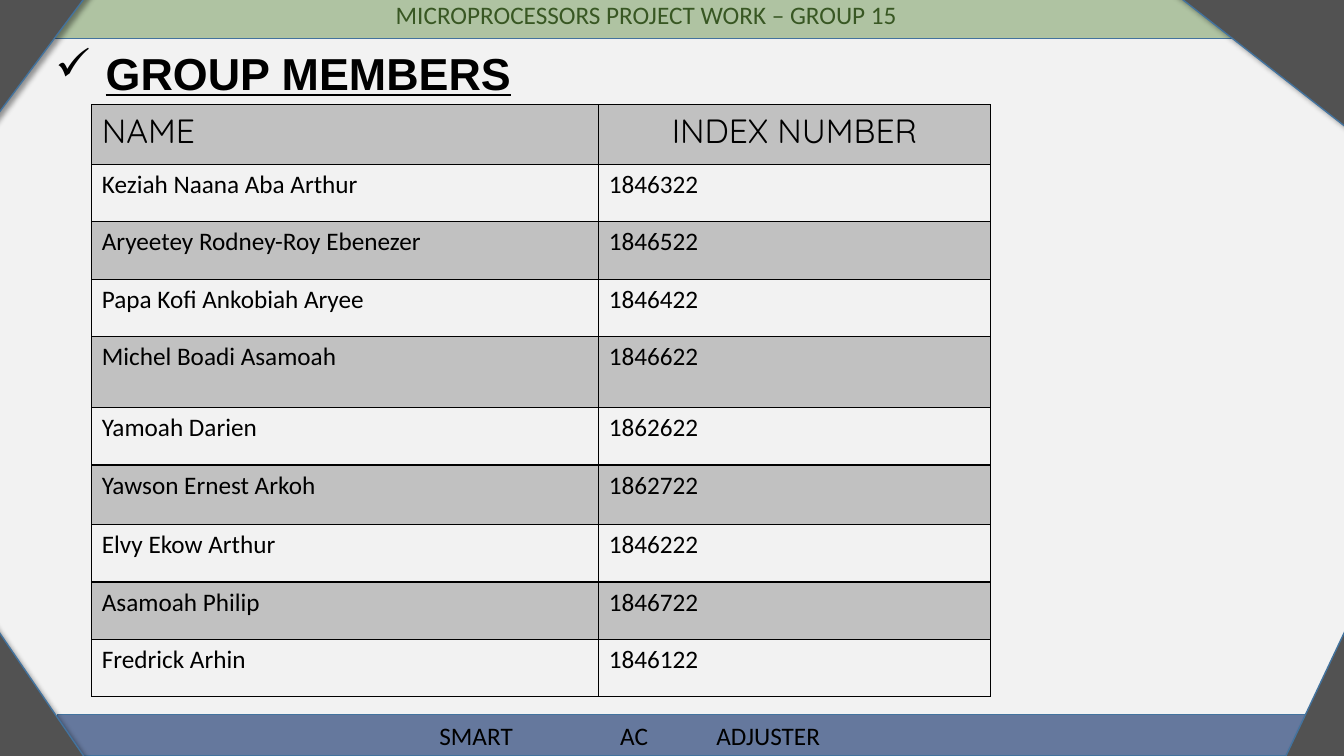
from lxml import etree
from pptx import Presentation
from pptx import util as u
from pptx.dml.color import RGBColor
from pptx.enum import shapes, text
from pptx.oxml.ns import qn

WIDE, HIGH = u.Inches(13.33), u.Inches(7.5)
BLACK, EDGE, GREY = "000000", "43739E", "525252"

MEMBERS = [
    ("Keziah Naana Aba Arthur", "1846322"),
    ("Aryeetey Rodney-Roy Ebenezer", "1846522"),
    ("Papa Kofi Ankobiah Aryee", "1846422"),
    ("Michel Boadi Asamoah", "1846622"),
    ("Yamoah Darien", "1862622"),
    ("Yawson Ernest Arkoh", "1862722"),
    ("Elvy Ekow Arthur", "1846222"),
    ("Asamoah Philip", "1846722"),
    ("Fredrick Arhin", "1846122"),
]

# Corner triangles: left, top, width, height (percent of slide), turn
CORNERS = [
    (-8.1, -1.2, 14.78, 17.6, 180),
    (88.75, -14.13, 10.65, 33.47, 292.2),
    (-2.18, 83.33, 10.65, 33.47, 129.9),
    (94.3, 89.2, 14.78, 17.6, 115.3),
]


def across(share):
    return int(WIDE * share / 100)


def down(share):
    return int(HIGH * share / 100)


def frame(left, top, width, height):
    return across(left), down(top), across(width), down(height)


def color(code):
    return RGBColor.from_string(code)


def node(parent, tag, **attrs):
    child = etree.SubElement(parent, qn(tag))
    for key, value in attrs.items():
        child.set(key, str(value))
    return child


def paint(fill, code, share=100):
    """Solid fill with the given opacity in percent."""
    fill.solid()
    fill.fore_color.rgb = color(code)
    if share < 100:
        tint = fill._xPr.find(".//" + qn("a:srgbClr"))
        node(tint, "a:alpha", val=share * 1000)


def write(para, words, size, face, code=BLACK, bold=False, under=False):
    run = para.add_run()
    run.text = words
    font = run.font
    font.size, font.name = u.Pt(size), face
    font.bold, font.underline = bold, under
    font.color.rgb = color(code)


def shape(slide, kind, box, code, share=100):
    item = slide.shapes.add_shape(kind, *frame(*box))
    item.shadow.inherit = False
    paint(item.fill, code, share)
    item.line.color.rgb = color(EDGE)
    item.line.width = u.Pt(1)
    return item


def corner(slide, left, top, width, height, turn):
    item = shape(slide, shapes.MSO_SHAPE.ISOSCELES_TRIANGLE,
                 (left, top, width, height), GREY)
    item.rotation = turn
    effects = item._element.spPr.find(qn("a:effectLst"))
    shade = node(effects, "a:outerShdw", blurRad=u.Pt(4), dist=u.Pt(3),
                 dir=45 * 60000, algn="tl", rotWithShape=0)
    node(node(shade, "a:srgbClr", val=BLACK), "a:alpha", val=40000)


def label(slide, box):
    """Text box; returns its first paragraph."""
    area = slide.shapes.add_textbox(*frame(*box)).text_frame
    area.word_wrap = True
    return area.paragraphs[0]


def border(cell):
    props = cell._tc.get_or_add_tcPr()
    for spot, side in enumerate(("a:lnL", "a:lnR", "a:lnT", "a:lnB")):
        line = node(props, side, w=u.Pt(1))
        node(node(line, "a:solidFill"), "a:srgbClr", val=BLACK)
        props.insert(spot, line)


def roster(slide, left, top, cols, rows):
    lines = [("NAME", "INDEX NUMBER")] + MEMBERS
    table = slide.shapes.add_table(
        len(rows), len(cols), *frame(left, top, sum(cols), sum(rows))).table
    table.first_row = table.horz_banding = False
    for col, share in zip(table.columns, cols):
        col.width = across(share)
    for r, (row, share) in enumerate(zip(table.rows, rows)):
        row.height = down(share)
        for c, cell in enumerate(row.cells):
            if r % 2 == 0:
                paint(cell.fill, BLACK, 20)
            else:
                cell.fill.background()
            border(cell)
            para = cell.text_frame.paragraphs[0]
            size, face = (18, "Calibri") if r else (24, "Quicksand")
            if r == 0 and c == 1:
                para.alignment = text.PP_ALIGN.CENTER
            write(para, lines[r][c], size, face)


def main():
    deck = Presentation()
    deck.slide_width, deck.slide_height = WIDE, HIGH
    slide = deck.slides.add_slide(deck.slide_layouts[6])
    paint(slide.background.fill, "F2F2F2")

    # Header and footer bands
    bar = shapes.MSO_SHAPE.RECTANGLE
    head = shape(slide, bar, (3, -1.2, 90.17, 6.27), "548235", 42).text_frame
    head.vertical_anchor = text.MSO_ANCHOR.MIDDLE
    head.paragraphs[0].alignment = text.PP_ALIGN.CENTER
    write(head.paragraphs[0], "MICROPROCESSORS PROJECT WORK – GROUP 15",
          18, "Calibri", "385723")
    shape(slide, bar, (4.28, 94.53, 94.3, 5.47), "002060", 58)

    # Dark corners
    for item in CORNERS:
        corner(slide, *item)

    # Member table; the fourth member's row is taller
    rows = [7.87] + [7.6] * 3 + [9.4, 7.6, 7.87] + [7.6] * 3
    roster(slide, 6.83, 13.87, (37.73, 29.11), rows)

    # Title with a check mark
    title = label(slide, (3.38, 5.33, 60.69, 8.53))
    props = title._p.get_or_add_pPr()
    props.set("marL", str(u.Inches(0.5)))
    props.set("indent", str(-u.Inches(0.5)))
    node(props, "a:buChar", char="✓")
    write(title, "GROUP MEMBERS", 32, "Arial", bold=True, under=True)

    # Footer words on tab stops
    foot = label(slide, (31.96, 94.67, 46.66, 5.33))
    stops = node(foot._p.get_or_add_pPr(), "a:tabLst")
    for share in (13.45, 20.6):
        node(stops, "a:tab", pos=across(share), algn="l")
    write(foot, "SMART\tAC\tADJUSTER", 18, "Calibri")

    deck.save("out.pptx")


if __name__ == "__main__":
    main()
